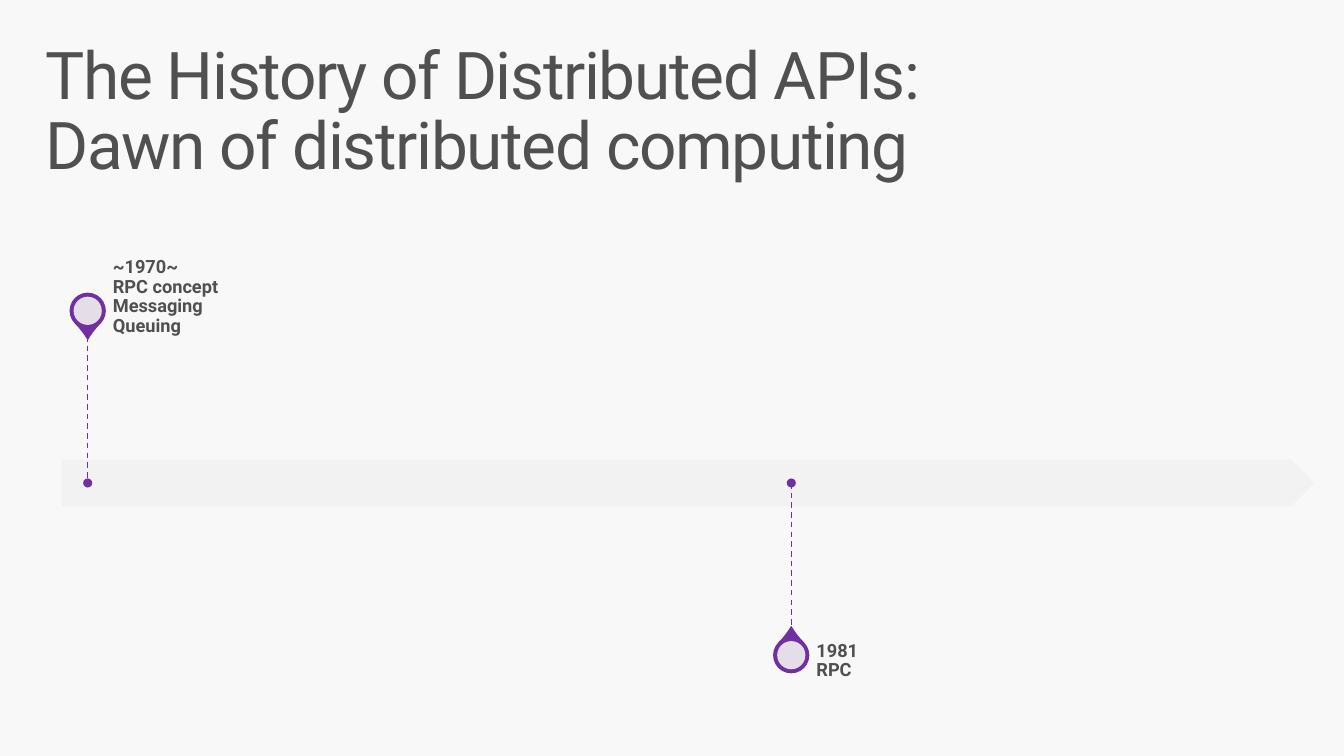
from dataclasses import dataclass

import pptx
import pptx.dml.color
import pptx.enum.dml
import pptx.enum.shapes
import pptx.enum.text
import pptx.oxml
import pptx.oxml.ns
import pptx.shapes.autoshape
import pptx.slide
import pptx.text.text
import pptx.util

RGBColor = pptx.dml.color.RGBColor
Shape = pptx.shapes.autoshape.Shape
ShapeKind = pptx.enum.shapes.MSO_SHAPE
Anchor = pptx.enum.text.MSO_ANCHOR

BACKGROUND = RGBColor(0xF8, 0xF8, 0xF8)
PALE_GREY = RGBColor(0xF2, 0xF2, 0xF2)
TEXT_GREY = RGBColor(0x50, 0x50, 0x50)
PURPLE = RGBColor(0x70, 0x30, 0xA0)

FONT = "Roboto"
SLIDE_WIDTH = pptx.util.Inches(13.333)
SLIDE_HEIGHT = pptx.util.Inches(7.5)
GRID_COLUMNS = 160  # square cells, 160 by 90
CELL = SLIDE_WIDTH / GRID_COLUMNS

AXIS_ROW = 57.5
PIN_DISTANCE = 20.5
STEM_LENGTH = 17.5
PIN_SIZE = 4.32
HOLE_SIZE = 3.36
DOT_SIZE = 1.08
LABEL_OFFSET = 3
LABEL_HEIGHT = 6.1


@dataclass(frozen=True)
class Box:
    column: float
    row: float
    columns: float
    rows: float


@dataclass(frozen=True)
class Milestone:
    column: float
    direction: int  # -1 above the axis, 1 below it
    label: str


TITLE_BOX = Box(3.5, 3.84, 153, 11.76)
SUBTITLE_BOX = Box(3.5, 12.24, 153, 11.76)
ARROW_BOX = Box(7.32, AXIS_ROW - 2.82, 149.16, 5.64)
MILESTONES = [
    Milestone(10.44, -1, "~1970~\nRPC concept\nMessaging\nQueuing"),
    Milestone(94.2, 1, "1981\nRPC"),
]


def cells(count: float) -> pptx.util.Emu:
    return pptx.util.Emu(round(count * CELL))


def edges(box: Box) -> list[pptx.util.Emu]:
    return [cells(value) for value in (box.column, box.row, box.columns, box.rows)]


def square_around(column: float, row: float, size: float) -> Box:
    return Box(column - size / 2, row - size / 2, size, size)


def write_text(text_frame: pptx.text.text.TextFrame, text: str, *, size: float,
               margins: tuple[float, float, float, float], bold: bool = False,
               spacing: float = 0, anchor: Anchor = Anchor.TOP) -> None:
    """Fill the frame with one paragraph; margins are left, top, right, bottom in inches."""
    text_frame.word_wrap = True
    text_frame.auto_size = pptx.enum.text.MSO_AUTO_SIZE.NONE
    text_frame.vertical_anchor = anchor
    (text_frame.margin_left, text_frame.margin_top, text_frame.margin_right,
     text_frame.margin_bottom) = map(pptx.util.Inches, margins)
    paragraph = text_frame.paragraphs[0]
    paragraph.text = text
    paragraph.alignment = pptx.enum.text.PP_ALIGN.LEFT
    paragraph.line_spacing = 0.9
    paragraph.space_before = pptx.util.Pt(0)
    paragraph.font.size = pptx.util.Pt(size)
    for run in paragraph.runs:
        run.font.name = FONT
        run.font.size = pptx.util.Pt(size)
        run.font.bold = bold
        run.font.color.rgb = TEXT_GREY
        if spacing:
            run.font._element.set("spc", str(round(spacing * 100)))


def write_heading(shape: Shape, text: str) -> None:
    write_text(shape.text_frame, text, size=47, margins=(0.16, 0.1, 0.16, 0.1), spacing=-1)


def add_filled_shape(slide: pptx.slide.Slide, kind: ShapeKind, box: Box,
                     color: RGBColor, opacity: int = 100) -> Shape:
    shape = slide.shapes.add_shape(kind, *edges(box))
    shape.shadow.inherit = False
    shape.fill.solid()
    shape.fill.fore_color.rgb = color
    shape.line.fill.background()
    if opacity < 100:
        color_element = shape._element.spPr.find(".//" + pptx.oxml.ns.qn("a:srgbClr"))
        alpha = pptx.oxml.parse_xml(
            f'<a:alpha {pptx.oxml.ns.nsdecls("a")} val="{opacity * 1000}"/>')
        color_element.append(alpha)
    return shape


def add_stem(slide: pptx.slide.Slide, column: float, start: float, end: float) -> None:
    stem = slide.shapes.add_connector(
        pptx.enum.shapes.MSO_CONNECTOR.STRAIGHT,
        cells(column), cells(start), cells(column), cells(end))
    stem.line.color.rgb = PURPLE
    stem.line.width = pptx.util.Pt(1)
    stem.line.dash_style = pptx.enum.dml.MSO_LINE.DASH
    stem._element.spPr.append(
        pptx.oxml.parse_xml(f'<a:effectLst {pptx.oxml.ns.nsdecls("a")}/>'))


def add_milestone(slide: pptx.slide.Slide, milestone: Milestone) -> None:
    column = milestone.column
    pin_row = AXIS_ROW + milestone.direction * PIN_DISTANCE
    stem_end = AXIS_ROW + milestone.direction * STEM_LENGTH

    pin = add_filled_shape(slide, ShapeKind.TEAR,
                           square_around(column, pin_row, PIN_SIZE), PURPLE)
    pin.adjustments[0] = 1.15
    pin.rotation = 225 + 90 * milestone.direction
    add_filled_shape(slide, ShapeKind.OVAL,
                     square_around(column, pin_row, HOLE_SIZE), PALE_GREY, opacity=90)

    label_box = Box(column + LABEL_OFFSET, pin_row - LABEL_HEIGHT / 2, 54.24, LABEL_HEIGHT)
    label = slide.shapes.add_textbox(*edges(label_box))
    write_text(label.text_frame, milestone.label, size=13, margins=(0, 0, 0.09, 0),
               bold=True, anchor=Anchor.BOTTOM)

    add_stem(slide, column, min(AXIS_ROW, stem_end), max(AXIS_ROW, stem_end))
    add_filled_shape(slide, ShapeKind.OVAL,
                     square_around(column, AXIS_ROW, DOT_SIZE), PURPLE)


def main() -> None:
    presentation = pptx.Presentation()
    presentation.slide_width = SLIDE_WIDTH
    presentation.slide_height = SLIDE_HEIGHT
    slide = presentation.slides.add_slide(presentation.slide_layouts.get_by_name("Title Only"))
    slide.background.fill.solid()
    slide.background.fill.fore_color.rgb = BACKGROUND

    title = slide.shapes.title
    title.left, title.top, title.width, title.height = edges(TITLE_BOX)
    write_heading(title, "The History of Distributed APIs:")

    add_filled_shape(slide, ShapeKind.PENTAGON, ARROW_BOX, PALE_GREY, opacity=90)
    for milestone in MILESTONES:
        add_milestone(slide, milestone)

    subtitle = slide.shapes.add_textbox(*edges(SUBTITLE_BOX))
    write_heading(subtitle, "Dawn of distributed computing")
    presentation.save("out.pptx")


if __name__ == "__main__":
    main()
